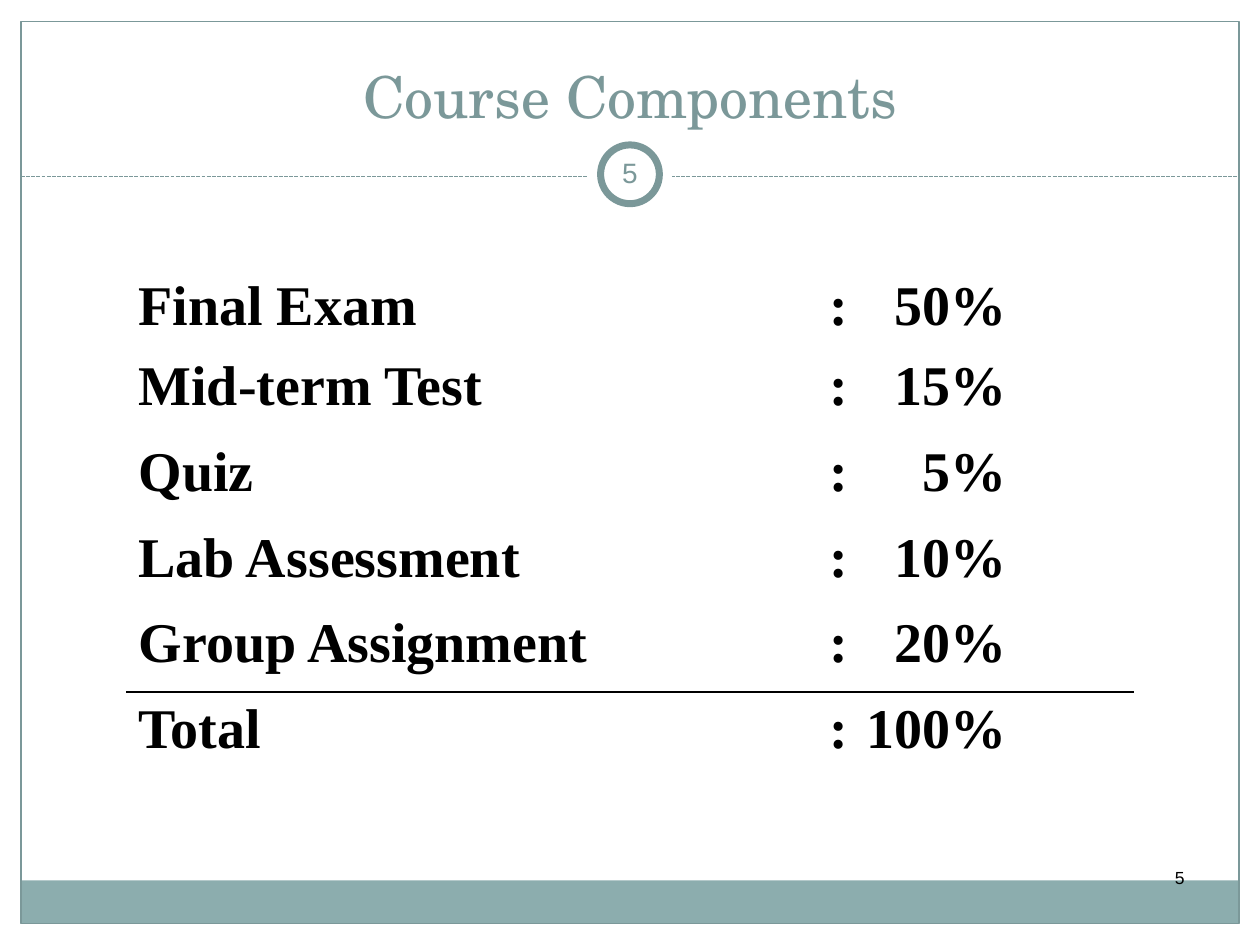
from dataclasses import dataclass
from typing import Optional

from lxml import etree
from pptx import Presentation
from pptx.dml.color import RGBColor
from pptx.enum.dml import MSO_LINE
from pptx.enum.shapes import MSO_CONNECTOR, MSO_SHAPE
from pptx.enum.text import MSO_ANCHOR, MSO_AUTO_SIZE, PP_ALIGN
from pptx.oxml.ns import qn
from pptx.util import Pt

RECTANGLE, OVAL = MSO_SHAPE.RECTANGLE, MSO_SHAPE.OVAL
STRAIGHT = MSO_CONNECTOR.STRAIGHT
DASH = MSO_LINE.SQUARE_DOT
TOP, MIDDLE, BOTTOM = MSO_ANCHOR.TOP, MSO_ANCHOR.MIDDLE, MSO_ANCHOR.BOTTOM
LEFT, CENTER, RIGHT = PP_ALIGN.LEFT, PP_ALIGN.CENTER, PP_ALIGN.RIGHT
NO_AUTOFIT = MSO_AUTO_SIZE.NONE

COLORS = {"white": "FFFFFF", "teal": "7B9899", "band": "8CADAE", "black": "000000"}
TITLE_FONT = {"name": "TeX Gyre Schola", "size": Pt(33), "bold": False}
BADGE_FONT = {"name": "Arial", "size": Pt(16)}
FOOTER_FONT = {"name": "Arial", "size": Pt(10)}
TABLE_FONT = {"name": "Times New Roman", "size": Pt(32), "bold": True}
COLUMN_WIDTHS = (394.56, 21.6, 159.84)
FIRST_ROW_HEIGHT, ROW_HEIGHT = 45.36, 48.96
PERCENT_MARGIN = 72.6


@dataclass
class Panel:
    kind: MSO_SHAPE
    left: float
    top: float
    width: float
    height: float
    fill: Optional[str] = None
    line: Optional[str] = None
    weight: float = 0.75


@dataclass
class NumberBox:
    left: float
    top: float
    width: float
    height: float
    margin: float
    anchor: MSO_ANCHOR
    alignment: PP_ALIGN
    font: dict
    color: str


@dataclass
class Component:
    name: str
    percent: int


FRAME_PANELS = [
    Panel(RECTANGLE, 0, 0, 720, 109.44, fill="white"),
    Panel(RECTANGLE, 0, 0, 12, 540, fill="white"),
    Panel(RECTANGLE, 708, 0, 12, 540, fill="white"),
    Panel(RECTANGLE, 11.75, 503.1, 695.75, 24.6, fill="band"),
    Panel(RECTANGLE, 12, 12.24, 696, 515.52, line="teal"),
]
BADGE_PANELS = [
    Panel(OVAL, 336, 75.6, 48, 48, fill="white"),
    Panel(OVAL, 343.2, 82.8, 33.6, 33.6, fill="white", line="teal", weight=4),
]
NUMBER_BOXES = [
    NumberBox(342, 81.5, 36, 34.5, 3.6, MIDDLE, CENTER, BADGE_FONT, "teal"),
    NumberBox(516, 492, 168, 36, 7.2, TOP, RIGHT, FOOTER_FONT, "black"),
]
COMPONENTS = [
    Component("Final Exam", 50),
    Component("Mid-term Test", 15),
    Component("Quiz", 5),
    Component("Lab Assessment", 10),
    Component("Group Assignment", 20),
]


def rgb(name: str) -> RGBColor:
    return RGBColor.from_string(COLORS[name])


def write(text_frame, text: str, font: dict, color: str, alignment) -> None:
    paragraph = text_frame.paragraphs[0]
    paragraph.alignment = alignment
    run = paragraph.add_run()
    run.text = text
    for attribute, value in font.items():
        setattr(run.font, attribute, value)
    run.font.color.rgb = rgb(color)


def draw_panel(slide, panel: Panel) -> None:
    shape = slide.shapes.add_shape(
        panel.kind, Pt(panel.left), Pt(panel.top), Pt(panel.width), Pt(panel.height))
    shape.shadow.inherit = False
    if panel.fill:
        shape.fill.solid()
        shape.fill.fore_color.rgb = rgb(panel.fill)
    else:
        shape.fill.background()
    if panel.line:
        shape.line.color.rgb = rgb(panel.line)
        shape.line.width = Pt(panel.weight)
    else:
        shape.line.fill.background()


def draw_divider(slide) -> None:
    divider = slide.shapes.add_connector(STRAIGHT, Pt(12), Pt(100.8), Pt(708), Pt(100.8))
    divider.line.color.rgb = rgb("teal")
    divider.line.width = Pt(0.75)
    divider.line.dash_style = DASH
    etree.SubElement(divider._element.spPr, qn("a:effectLst"))


def place_title(slide, text: str) -> None:
    title = slide.shapes.title
    title.left, title.top, title.width, title.height = Pt(24), Pt(18), Pt(672), Pt(60)
    title.text_frame.vertical_anchor = BOTTOM
    title.text_frame.auto_size = NO_AUTOFIT
    write(title.text_frame, text, TITLE_FONT, "teal", CENTER)
    slide.shapes._spTree.append(title._element)  # bring in front of the panels


def draw_number(slide, box: NumberBox, number: int) -> None:
    shape = slide.shapes.add_textbox(
        Pt(box.left), Pt(box.top), Pt(box.width), Pt(box.height))
    frame = shape.text_frame
    frame.word_wrap = True
    frame.vertical_anchor = box.anchor
    for side in ("left", "right"):
        setattr(frame, f"margin_{side}", Pt(box.margin))
    write(frame, str(number), box.font, box.color, box.alignment)


def set_border(cell, side: str) -> None:
    """Draw a black rule on one side of a cell: lnT or lnB."""
    line = etree.Element(qn(f"a:{side}"), w=str(Pt(1.47)))
    fill = etree.SubElement(line, qn("a:solidFill"))
    etree.SubElement(fill, qn("a:srgbClr"), val=COLORS["black"])
    cell._tc.get_or_add_tcPr().insert(0, line)


def draw_table(slide, components: list[Component]) -> None:
    total = Component("Total", sum(component.percent for component in components))
    rows = [*components, total]
    height = FIRST_ROW_HEIGHT + ROW_HEIGHT * len(components)
    table = slide.shapes.add_table(
        len(rows), len(COLUMN_WIDTHS), Pt(72), Pt(154.08),
        Pt(sum(COLUMN_WIDTHS)), Pt(height)).table
    table.first_row = table.horz_banding = False
    table._tbl.tblPr.find(qn("a:tableStyleId")).text = "{2D5ABB26-0587-4C30-8999-92F81FD0307C}"
    for column, width in zip(table.columns, COLUMN_WIDTHS):
        column.width = Pt(width)
    for index, component in enumerate(rows):
        table.rows[index].height = Pt(ROW_HEIGHT if index else FIRST_ROW_HEIGHT)
        texts = (component.name, ":", f"{component.percent}%")
        for cell, text, alignment in zip(table.rows[index].cells, texts, (LEFT, LEFT, RIGHT)):
            cell.fill.background()
            if alignment == RIGHT:
                cell.margin_left, cell.margin_right = Pt(0), Pt(PERCENT_MARGIN)
            write(cell.text_frame, text, TABLE_FONT, "black", alignment)
            if component is total:
                set_border(cell, "lnT")
            elif component is components[-1]:
                set_border(cell, "lnB")


def main() -> None:
    presentation = Presentation()
    presentation.slide_width, presentation.slide_height = Pt(720), Pt(540)
    slide = presentation.slides.add_slide(presentation.slide_layouts.get_by_name("Title Only"))
    for panel in FRAME_PANELS:
        draw_panel(slide, panel)
    draw_divider(slide)
    for panel in BADGE_PANELS:
        draw_panel(slide, panel)
    place_title(slide, "Course Components")
    for box in NUMBER_BOXES:
        draw_number(slide, box, 5)
    draw_table(slide, COMPONENTS)
    presentation.save("out.pptx")


if __name__ == "__main__":
    main()
